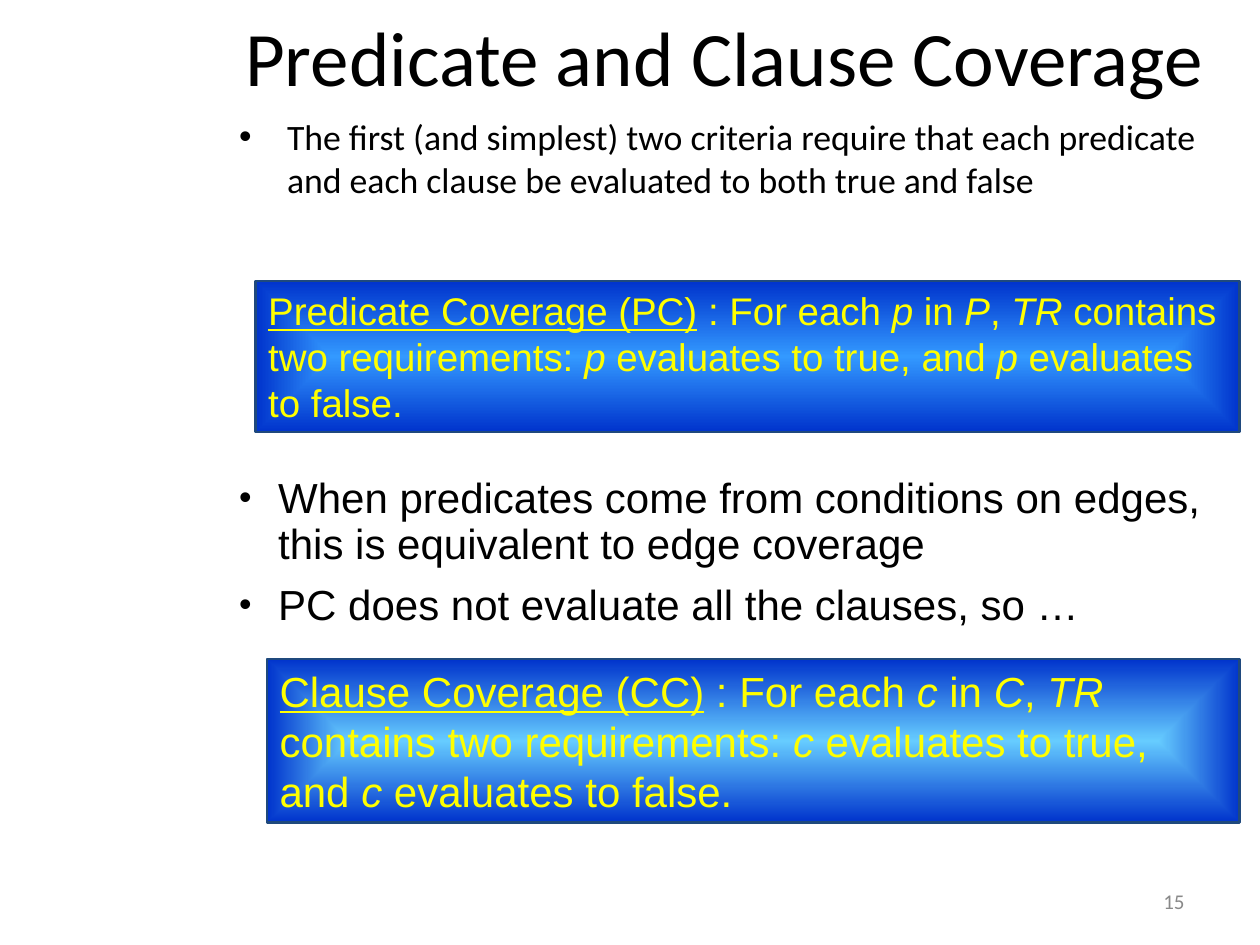
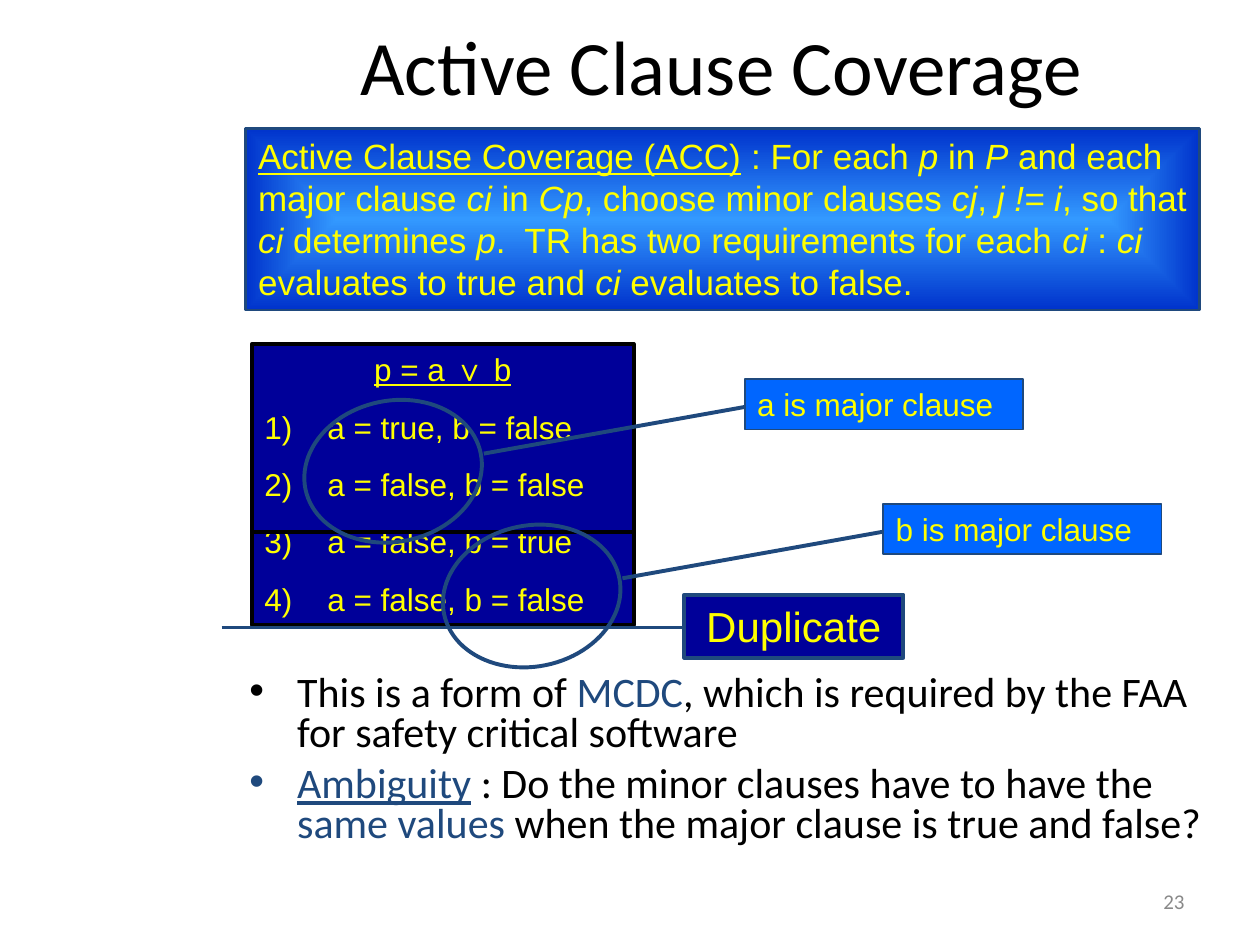
import dataclasses
import lxml.etree
import pptx
import pptx.dml.color
import pptx.enum.shapes
import pptx.enum.text
import pptx.oxml.ns
import pptx.util


@dataclasses.dataclass(frozen=True)
class Theme:
    ink: str = "000000"
    accent: str = "1F497D"
    yellow: str = "FFFF00"
    navy: str = "000099"
    label: str = "0066FF"
    muted: str = "898989"
    glow: tuple = ("3399FF", "0033CC")
    bright_glow: tuple = ("66CCFF", "0033CC")
    heading_font: str = "Calibri"
    text_font: str = "Arial"
    title_size: float = 44
    large_size: float = 24
    label_size: float = 18
    number_size: float = 12


theme = Theme()
rgb = pptx.dml.color.RGBColor.from_string
qn = pptx.oxml.ns.qn
Align = pptx.enum.text.PP_ALIGN
Anchor = pptx.enum.text.MSO_ANCHOR
Shape = pptx.enum.shapes.MSO_SHAPE

deck = pptx.Presentation()
deck.slide_width = pptx.util.Inches(10)
deck.slide_height = pptx.util.Inches(7.5)
column = deck.slide_width / 100
row = deck.slide_height / 75


def add_text(slide, area, paragraphs, size, color=theme.ink, font=theme.text_font,
             fill=None, border=None, align=Align.LEFT, anchor=Anchor.TOP,
             bullet=None, bullet_scale=100, hanging=0, space=0, spacing=None):
    place = [round(value * unit) for value, unit in zip(area, (column, row) * 2)]
    if fill:
        block = slide.shapes.add_shape(Shape.RECTANGLE, *place)
        block.shadow.inherit = False
        block.line.color.rgb = rgb(border[0])
        block.line.width = pptx.util.Pt(border[1])
        if isinstance(fill, tuple):
            block.fill.gradient()
            for stop, shade in zip(block.fill.gradient_stops, fill):
                stop.color.rgb = rgb(shade)
            gradient = block._element.spPr.find(qn("a:gradFill"))
            gradient.remove(gradient.find(qn("a:lin")))
            burst = lxml.etree.SubElement(gradient, qn("a:path"), path="rect")
            lxml.etree.SubElement(burst, qn("a:fillToRect"), dict.fromkeys("ltrb", "50000"))
        else:
            block.fill.solid()
            block.fill.fore_color.rgb = rgb(fill)
    else:
        block = slide.shapes.add_textbox(*place)
    frame = block.text_frame
    frame.word_wrap = True
    frame.vertical_anchor = anchor
    for index, runs in enumerate(paragraphs):
        paragraph = frame.paragraphs[0] if index == 0 else frame.add_paragraph()
        heading = runs[0][1].get("heading", False)
        if bullet and not heading:
            properties = paragraph._p.get_or_add_pPr()
            properties.set("marL", str(round(hanging * column)))
            properties.set("indent", str(round(-hanging * column)))
            tint = lxml.etree.SubElement(properties, qn("a:buClr"))
            lxml.etree.SubElement(tint, qn("a:srgbClr"), val=runs[0][1].get("color", color))
            lxml.etree.SubElement(properties, qn("a:buSzPct"), val=str(bullet_scale * 1000))
            lxml.etree.SubElement(properties, qn("a:buFont"), typeface=theme.text_font)
            if bullet == "1)":
                lxml.etree.SubElement(properties, qn("a:buAutoNum"), type="arabicParenR")
            else:
                lxml.etree.SubElement(properties, qn("a:buChar"), char=bullet)
        layout = {"alignment": Align.CENTER if heading else align,
                  "space_before": pptx.util.Pt(space if index else 0),
                  "line_spacing": spacing}
        for name, value in layout.items():
            setattr(paragraph, name, value)
        for words, style in runs:
            run = paragraph.add_run()
            run.text = words
            look = {"name": font, "size": pptx.util.Pt(size),
                    "underline": style.get("underline", False),
                    "italic": style.get("italic", False)}
            for name, value in look.items():
                setattr(run.font, name, value)
            run.font.color.rgb = rgb(style.get("color", color))


def add_line(slide, start, end, color):
    ends = [round(value * unit) for value, unit in zip(start + end, (column, row) * 2)]
    link = slide.shapes.add_connector(pptx.enum.shapes.MSO_CONNECTOR.STRAIGHT, *ends)
    link.line.color.rgb = rgb(color)
    link.line.width = pptx.util.Pt(2.25)
    lxml.etree.SubElement(link._element.spPr, qn("a:effectLst"))


plain = {}
underlined = {"underline": True}
accented = {"color": theme.accent}

pages = [
    {"number": "15", "title": "Predicate and Clause Coverage", "title_area": (15, 0.5, 85, 7.9),
     "definitions": [
         ((20.3, 22.3, 78.1, 12), 22, theme.glow, "Predicate Coverage (PC)",
          " : For each *p* in *P*, *TR* contains two requirements: *p* evaluates to true, "
          "and *p* evaluates to false."),
         ((21.2, 52.3, 77.2, 13), 24, theme.bright_glow, "Clause Coverage (CC)",
          " : For each *c* in *C*, *TR* contains two requirements: *c* evaluates to true, "
          "and *c* evaluates to false.")]},
    {"number": "23", "title": "Active Clause Coverage", "title_area": (19.5, 0.8, 75.5, 8.7),
     "definitions": [
         ((19.5, 10.2, 75.7, 14.4), 20, theme.glow, "Active Clause Coverage (ACC)",
          " : For each *p* in *P* and each major clause *ci* in *Cp*, choose minor clauses "
          "*cj*, *j != i*, so that *ci* determines *p*.  TR has two requirements for each "
          "*ci* : *ci *evaluates to true and *ci* evaluates to false.")]},
]

slides = []
for page in pages:
    slide = deck.slides.add_slide(deck.slide_layouts[6])
    slides.append(slide)
    add_text(slide, (71.7, 69.5, 23.3, 4), [[(page["number"], plain)]], theme.number_size,
             theme.muted, theme.heading_font, align=Align.RIGHT, anchor=Anchor.MIDDLE)
    add_text(slide, page["title_area"], [[(page["title"], plain)]], theme.title_size,
             font=theme.heading_font, align=Align.CENTER, anchor=Anchor.MIDDLE)
    for area, size, glow, term, meaning in page["definitions"]:
        runs = [(term, underlined)]
        for index, words in enumerate(meaning.split("*")):
            runs.append((words, {"italic": index % 2 == 1}))
        add_text(slide, area, [runs], size, theme.yellow, fill=glow, border=(theme.accent, 1.5))

criteria, active = slides

add_text(criteria, (18, 8.6, 81, 11.7),
         [[("The first (and simplest) two criteria require that each predicate and each "
            "clause be evaluated to both true and false", plain)]],
         20.4, font=theme.heading_font, bullet="•", hanging=3.8)
add_text(criteria, (18, 37.4, 80.5, 15),
         [[("When predicates come from conditions on edges, this is equivalent to edge "
            "coverage", plain)],
          [("PC does not evaluate all the clauses, so …", plain)]],
         theme.large_size, bullet="•", bullet_scale=85, hanging=3.1, space=9, spacing=0.9)

assignments = ["a = true, b = false", "a = false, b = false",
               "a = false, b = true", "a = false, b = false"]
add_text(active, (20, 27.3, 30.3, 22.3),
         [[("p = a ∨ b", {"underline": True, "heading": True})]]
         + [[(assignment, plain)] for assignment in assignments],
         theme.label_size, theme.yellow, fill=theme.navy, border=(theme.ink, 2.25),
         bullet="1)", hanging=5, space=11.2)
add_line(active, (20, 42.2), (50.2, 42.2), theme.ink)

add_text(active, (18.8, 53.1, 78.9, 15),
         [[("This is a form of ", plain), ("MCDC", accented),
           (", which is required by the FAA for safety critical software", plain)],
          [("Ambiguity", accented | underlined),
           (" : Do the minor clauses have to have the ", plain), ("same values", accented),
           (" when the major clause is true and false?", plain)]],
         theme.large_size, font=theme.heading_font, bullet="•", hanging=3.8,
         space=6, spacing=0.8)

add_line(active, (17.6, 49.8), (54.7, 49.8), theme.accent)
add_text(active, (54.3, 47.2, 17.4, 5), [[("Duplicate", plain)]], theme.large_size,
         theme.yellow, fill=theme.navy, border=(theme.accent, 2.25), align=Align.CENTER)

for step, clause in enumerate("ab"):
    across, down = 11 * step, 9.9 * step
    add_line(active, (38.4 + across, 36 + down), (59.1 + across, 32.3 + down), theme.accent)
    add_text(active, (59.1 + across, 30.1 + down, 22.1, 4),
             [[(f"{clause} is major clause", plain)]], theme.label_size, theme.yellow,
             fill=theme.label, border=(theme.accent, 1))
    ring = active.shapes.add_shape(
        Shape.OVAL, round((25.6 + across) * column), round((30.3 + down) * row),
        round(11.2 * column), round(14.2 * row))
    ring.rotation = 78.5
    ring.shadow.inherit = False
    ring.fill.background()
    ring.line.color.rgb = rgb(theme.accent)
    ring.line.width = pptx.util.Pt(2.25)

deck.save("out.pptx")
